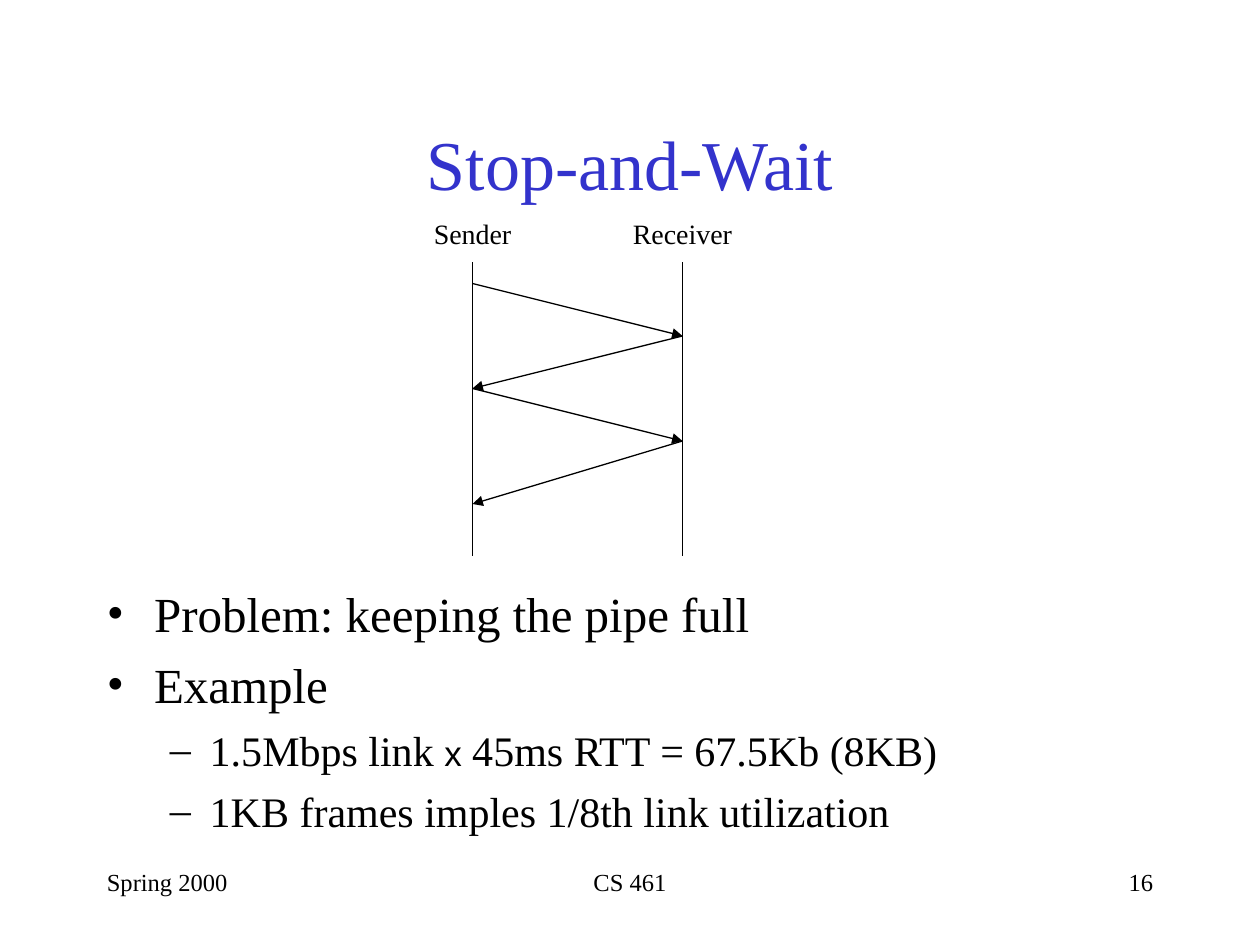
from lxml.etree import SubElement
from pptx import Presentation
from pptx.dml.color import RGBColor
from pptx.enum.shapes import MSO_CONNECTOR as Connector
from pptx.enum.text import MSO_ANCHOR as Anchor, MSO_AUTO_SIZE as AutoSize, PP_ALIGN as Align
from pptx.oxml.ns import qn
from pptx.util import Pt

PX = 7620
BLACK = RGBColor(0x00, 0x00, 0x00)
BLUE = RGBColor(0x33, 0x33, 0xCC)
SENDER_X, RECEIVER_X = 450, 650


def write(para, text, size=14, font="Times New Roman", color=BLACK, align=Align.LEFT):
    para.alignment = align
    span = para.add_run()
    span.text = text
    span.font.size = Pt(size)
    span.font.name = font
    span.font.color.rgb = color


def add_line(shapes, start, end, arrow=False):
    line = shapes.add_connector(Connector.STRAIGHT, *[n * PX for n in (*start, *end)])
    line.line.color.rgb = BLACK
    line.line.width = Pt(0.75)
    if arrow:
        SubElement(line.line._get_or_add_ln(), qn("a:tailEnd"), type="triangle")
    SubElement(line._element.spPr, qn("a:effectLst"))


deck = Presentation()
deck.slide_width, deck.slide_height = 1200 * PX, 900 * PX
page = deck.slides.add_slide(deck.slide_layouts[5])
shapes = page.shapes

title = shapes.title
title.left, title.top, title.width, title.height = [n * PX for n in (90, 80, 1020, 150)]
title.text_frame.vertical_anchor = Anchor.MIDDLE
write(title.text_frame.paragraphs[0], "Stop-and-Wait", size=40, color=BLUE, align=Align.CENTER)

body = shapes.add_textbox(90 * PX, 550 * PX, 1020 * PX, 270 * PX).text_frame
body.word_wrap = True
LEVELS = [
    {"bullet": "•", "size": 28, "before": 7, "left": 45, "hang": 45},
    {"bullet": "–", "size": 24, "before": 6, "left": 98, "hang": 38},
]
points = [
    (0, ["Problem: keeping the pipe full"]),
    (0, ["Example"]),
    (1, ["1.5Mbps link ", "x", " 45ms RTT = 67.5Kb (8KB)"]),
    (1, ["1KB frames imples 1/8th link utilization"]),
]
for index, (level, parts) in enumerate(points):
    para = body.add_paragraph() if index else body.paragraphs[0]
    look = LEVELS[level]
    para.level = level
    para.space_before = Pt(look["before"])
    for part in parts:
        if part == "x":
            write(para, part, size=20, font="Arial")
        else:
            write(para, part, size=look["size"])
    props = para._p.get_or_add_pPr()
    props.set("marL", str(look["left"] * PX))
    props.set("indent", str(-look["hang"] * PX))
    SubElement(props, qn("a:buFont"), typeface="Times New Roman")
    SubElement(props, qn("a:buChar"), char=look["bullet"])

for x in (SENDER_X, RECEIVER_X):
    add_line(shapes, (x, 250), (x, 530))

message_ys = [270, 320, 370, 420, 480]
for index, (start_y, end_y) in enumerate(zip(message_ys, message_ys[1:])):
    start_x, end_x = (RECEIVER_X, SENDER_X) if index % 2 else (SENDER_X, RECEIVER_X)
    add_line(shapes, (start_x, start_y), (end_x, end_y), arrow=True)

for text, x, width in [("Sender", SENDER_X, 102), ("Receiver", RECEIVER_X, 122)]:
    left = x - width // 2
    label = shapes.add_textbox(left * PX, 200 * PX, width * PX, 44 * PX).text_frame
    label.word_wrap = False
    label.auto_size = AutoSize.SHAPE_TO_FIT_TEXT
    write(label.paragraphs[0], text, size=16, align=Align.CENTER)

footers = [
    ("CS 461", 410, 380, Align.CENTER),
    ("16", 860, 250, Align.RIGHT),
    ("Spring 2000", 90, 250, Align.LEFT),
]
for text, left, width, align in footers:
    footer = shapes.add_textbox(left * PX, 820 * PX, width * PX, 60 * PX).text_frame
    footer.word_wrap = True
    write(footer.paragraphs[0], text, align=align)

deck.save("out.pptx")
